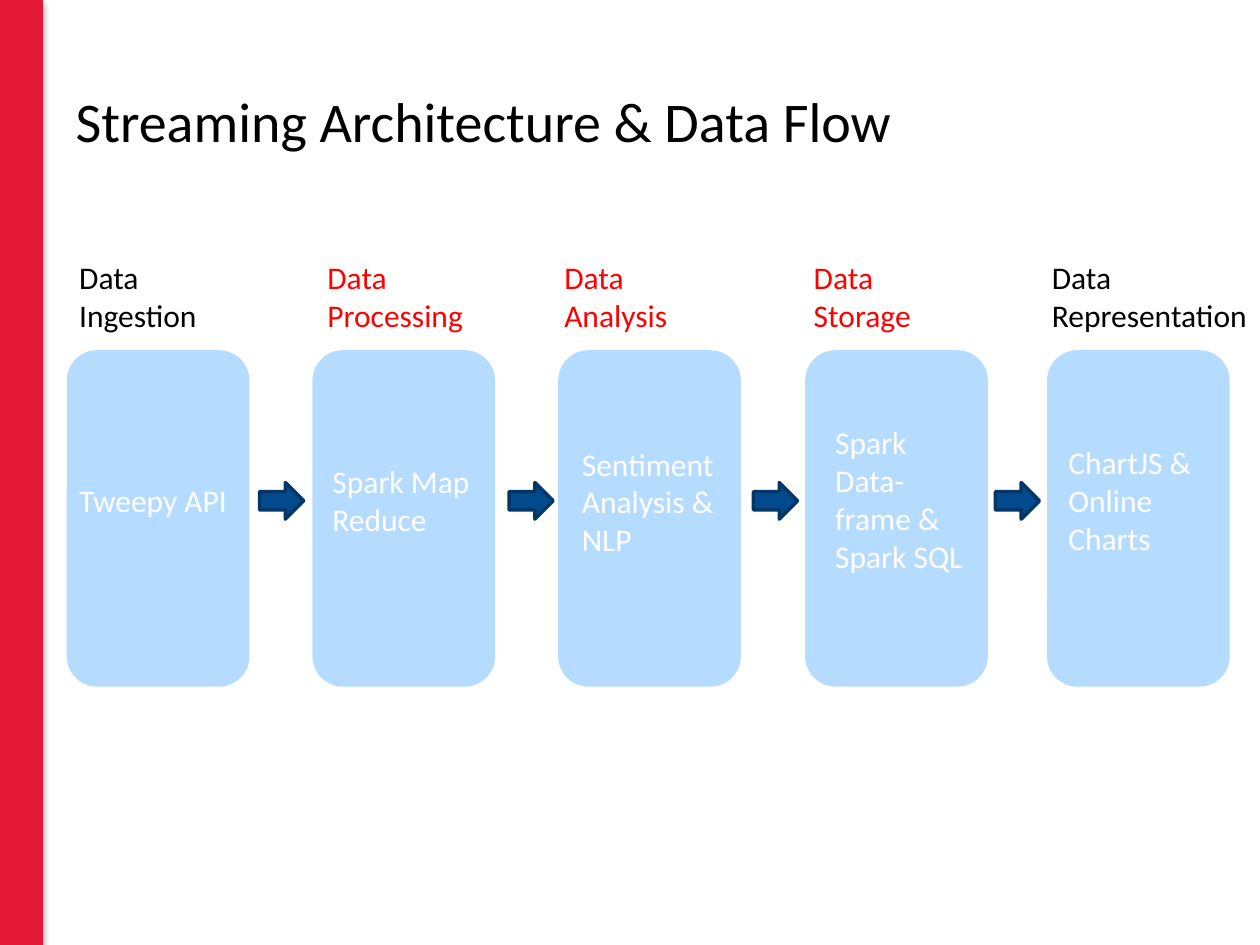
from lxml import etree
from pptx import Presentation
from pptx.dml.color import RGBColor
from pptx.enum import shapes, text
from pptx.oxml import ns
from pptx.util import Inches, Pt

COLORS = {
    "sidebar": "E31837", "stage": "B5DCFF", "arrow": "004A8D", "arrow_line": "003768",
    "black": "000000", "red": "FF0000", "white": "FFFFFF",
}


def add_block(kind, area, fill):
    block = page.shapes.add_shape(kind, *[Inches(value) for value in area])
    block.shadow.inherit = False
    block.fill.solid()
    block.fill.fore_color.rgb = RGBColor.from_string(COLORS[fill])
    block.line.fill.background()
    return block


def fill_text(box, words, size, color, frame_format):
    frame = box.text_frame
    frame.text = words
    for name, value in frame_format.items():
        setattr(frame, name, value)
    for para in frame.paragraphs:
        para.alignment = text.PP_ALIGN.LEFT
        for span in para.runs:
            for name, value in {"name": "Calibri", "size": Pt(size)}.items():
                setattr(span.font, name, value)
            span.font.color.rgb = RGBColor.from_string(COLORS[color])


deck = Presentation()
deck.slide_width, deck.slide_height = Inches(10), Inches(7.5)
page = deck.slides.add_slide(deck.slide_layouts[5])

sidebar = add_block(shapes.MSO_SHAPE.RECTANGLE, (0, 0, 0.34, 7.5), "sidebar")
effects = sidebar.shadow._element.find(ns.qn("a:effectLst"))
shadow = etree.SubElement(effects, ns.qn("a:outerShdw"), blurRad=str(Pt(3.1)),
                          dist=str(Pt(1.8)), dir="5400000", rotWithShape="0")
shade = etree.SubElement(shadow, ns.qn("a:srgbClr"), val=COLORS["black"])
etree.SubElement(shade, ns.qn("a:alpha"), val="35000")

title = page.shapes.title
title_area = {"left": 0.5, "top": 0.33, "width": 9.17, "height": 1.25}
for name, value in title_area.items():
    setattr(title, name, Inches(value))
fill_text(title, "Streaming Architecture & Data Flow", 32, "black", {
    "word_wrap": True, "auto_size": text.MSO_AUTO_SIZE.NONE,
    "vertical_anchor": text.MSO_ANCHOR.MIDDLE,
})

for left in (0.53, 2.48, 4.43, 6.39, 8.31):
    add_block(shapes.MSO_SHAPE.ROUNDED_RECTANGLE, (left, 2.78, 1.45, 2.67), "stage")

for left in (2.06, 4.04, 5.98, 7.9):
    arrow = add_block(shapes.MSO_SHAPE.RIGHT_ARROW, (left, 3.83, 0.35, 0.29), "arrow")
    arrow.line.color.rgb = RGBColor.from_string(COLORS["arrow_line"])
    arrow.line.width = Pt(2)

labels = [
    ("Data Ingestion", "black", (0.53, 2, 1.32, 0.71)),
    ("Data Processing", "red", (2.5, 2, 1.32, 0.71)),
    ("Data Analysis", "red", (4.38, 2, 1.32, 0.71)),
    ("Data Storage", "red", (6.36, 2, 1.32, 0.71)),
    ("Data Representation", "black", (8.25, 2, 1.76, 0.71)),
    ("Tweepy API", "white", (0.53, 3.77, 1.48, 0.4)),
    ("Spark Map Reduce", "white", (2.54, 3.62, 1.32, 0.71)),
    ("Sentiment Analysis & NLP", "white", (4.52, 3.48, 1.47, 1.01)),
    ("Spark Data-frame & Spark SQL", "white", (6.53, 3.31, 1.32, 1.31)),
    ("ChartJS &\nOnline Charts", "white", (8.38, 3.47, 1.32, 1.01)),
]
for words, color, area in labels:
    label = page.shapes.add_textbox(*[Inches(value) for value in area])
    fill_text(label, words, 18, color, {
        "word_wrap": True, "auto_size": text.MSO_AUTO_SIZE.SHAPE_TO_FIT_TEXT,
        "vertical_anchor": text.MSO_ANCHOR.TOP,
    })

deck.save("out.pptx")
